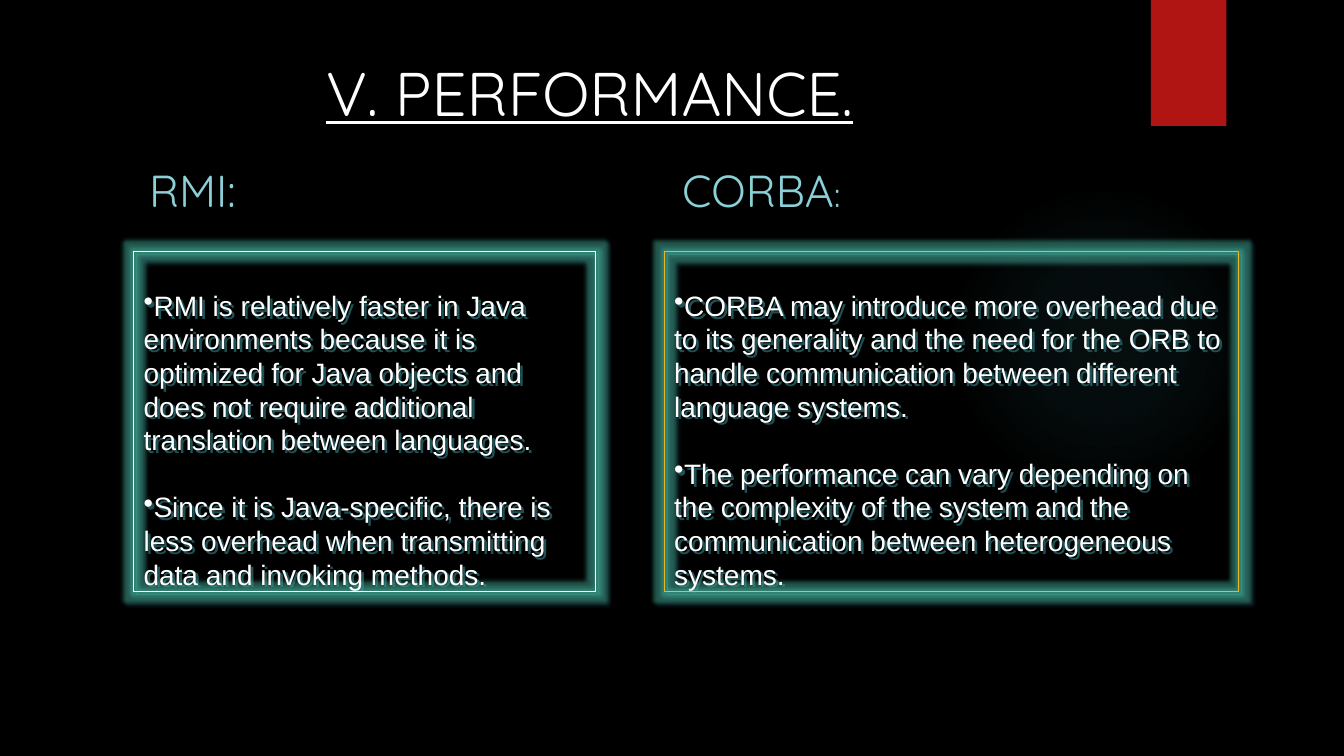
import pptx
import pptx.dml.color
import pptx.enum.shapes
import pptx.enum.text
import pptx.oxml
import pptx.util

Pt = pptx.util.Pt
RGBColor = pptx.dml.color.RGBColor
Shape = pptx.enum.shapes.MSO_SHAPE
Anchor = pptx.enum.text.MSO_ANCHOR
Align = pptx.enum.text.PP_ALIGN

BLACK = RGBColor(0x00, 0x00, 0x00)
WHITE = RGBColor(0xFF, 0xFF, 0xFF)
RED = RGBColor(0xB0, 0x15, 0x13)
AQUA = RGBColor(0x8A, 0xD0, 0xD6)
GOLD = RGBColor(0xE6, 0xB7, 0x29)
HAZE = RGBColor(0x50, 0xB9, 0xC1)
GLOW = RGBColor(0x46, 0xB2, 0x98)
SHADE = RGBColor(0x1E, 0x51, 0x55)

NAMESPACE = 'xmlns:a="http://schemas.openxmlformats.org/drawingml/2006/main"'


def style(target, values):
    for name, value in values.items():
        setattr(target, name, value)


class PerformanceSlide:
    heading_font = "Quicksand"
    body_font = "Arial"

    def __init__(self, deck):
        self.slide = deck.slides.add_slide(deck.slide_layouts[5])
        background = self.slide.background.fill
        background.solid()
        background.fore_color.rgb = BLACK

    def shape(self, kind, box):
        item = self.slide.shapes.add_shape(kind, *map(Pt, box))
        item.shadow.inherit = False
        item.line.fill.background()
        return item

    def haze(self, box):
        spot = self.shape(Shape.OVAL, box)
        spot.fill.background()
        stops = "".join(
            f'<a:gs pos="{position * 1000}"><a:srgbClr val="{HAZE}">'
            f'<a:alpha val="{alpha * 1000}"/></a:srgbClr></a:gs>'
            for position, alpha in ((0, 7), (36, 6), (69, 0), (100, 0)))
        gradient = pptx.oxml.parse_xml(
            f'<a:gradFill {NAMESPACE}><a:gsLst>{stops}</a:gsLst><a:path path="circle">'
            '<a:fillToRect l="50000" t="50000" r="50000" b="50000"/></a:path></a:gradFill>')
        properties = spot.element.spPr
        properties.replace(properties.find(pptx.oxml.ns.qn("a:noFill")), gradient)

    def ribbon(self, box):
        strip = self.shape(Shape.RECTANGLE, box)
        strip.fill.solid()
        strip.fill.fore_color.rgb = RED

    def title(self, text, box):
        title = self.slide.shapes.title
        style(title, dict(zip(("left", "top", "width", "height"), map(Pt, box))))
        style(title.text_frame, {"text": text, "word_wrap": True,
                                 "vertical_anchor": Anchor.TOP,
                                 "auto_size": pptx.enum.text.MSO_AUTO_SIZE.NONE})
        paragraph = title.text_frame.paragraphs[0]
        paragraph.alignment = Align.CENTER
        style(paragraph.font, {"name": self.heading_font, "size": Pt(44), "underline": True})
        paragraph.font.color.rgb = WHITE

    def heading(self, parts, box):
        frame = self.slide.shapes.add_textbox(*map(Pt, box)).text_frame
        style(frame, {"word_wrap": True, "vertical_anchor": Anchor.BOTTOM})
        for text, size in parts:
            run = frame.paragraphs[0].add_run()
            run.text = text
            style(run.font, {"name": self.heading_font, "size": Pt(size)})
            run.font.color.rgb = AQUA

    def panel(self, points, box, border):
        panel = self.shape(Shape.RECTANGLE, box)
        panel.fill.background()
        panel.line.color.rgb = border
        panel.line.width = Pt(0.75)
        # Glow around the border, shadow behind the words
        effects = panel.element.spPr.find(pptx.oxml.ns.qn("a:effectLst"))
        for effect, color, alpha in (
                (f'glow {NAMESPACE} rad="{Pt(5)}"', GLOW, 40),
                (f'outerShdw {NAMESPACE} dist="{Pt(2.8)}" dir="2700000" algn="tl"', SHADE, 100)):
            effects.append(pptx.oxml.parse_xml(
                f'<a:{effect}><a:srgbClr val="{color}"><a:alpha val="{alpha * 1000}"/>'
                f'</a:srgbClr></a:{effect.split()[0]}>'))
        frame = panel.text_frame
        style(frame, {"word_wrap": True, "vertical_anchor": Anchor.TOP,
                      "margin_top": Pt(26.4), "margin_bottom": Pt(0)})
        for index, text in enumerate(points):
            paragraph = frame.add_paragraph() if index else frame.paragraphs[0]
            style(paragraph, {"text": text, "alignment": Align.LEFT})
            if index:
                paragraph.space_before = Pt(24)
            properties = paragraph._p.get_or_add_pPr()
            properties.append(pptx.oxml.parse_xml(f'<a:buChar {NAMESPACE} char="•"/>'))
            style(paragraph.font, {"name": self.body_font, "size": Pt(20)})
            paragraph.font.color.rgb = WHITE


def main():
    deck = pptx.Presentation()
    style(deck, {"slide_width": Pt(960), "slide_height": Pt(540)})
    page = PerformanceSlide(deck)

    # Backdrop
    page.haze((677.5, 131.8, 221.8, 221.8))
    page.ribbon((822, 0, 54, 90))

    # Title
    page.title("V. PERFORMANCE.", (50.7, 35.5, 740.9, 110.2))

    # Comparison columns: heading, heading left, panel left, panel width, border, points
    columns = (
        ([("RMI:", 32)], 99.4, 95.5, 330, WHITE, (
            "RMI is relatively faster in Java environments because it is optimized for "
            "Java objects and does not require additional translation between languages.",
            "Since it is Java-specific, there is less overhead when transmitting data "
            "and invoking methods.")),
        ([("CORBA", 32), (":", 24)], 480.2, 474.5, 410.4, GOLD, (
            "CORBA may introduce more overhead due to its generality and the need for "
            "the ORB to handle communication between different language systems.",
            "The performance can vary depending on the complexity of the system and the "
            "communication between heterogeneous systems.")),
    )
    for parts, heading_left, panel_left, panel_width, border, points in columns:
        page.heading(parts, (heading_left, 113, 346.3, 45.4))
        page.panel(points, (panel_left, 179.5, panel_width, 243), border)

    deck.save("out.pptx")


if __name__ == "__main__":
    main()
